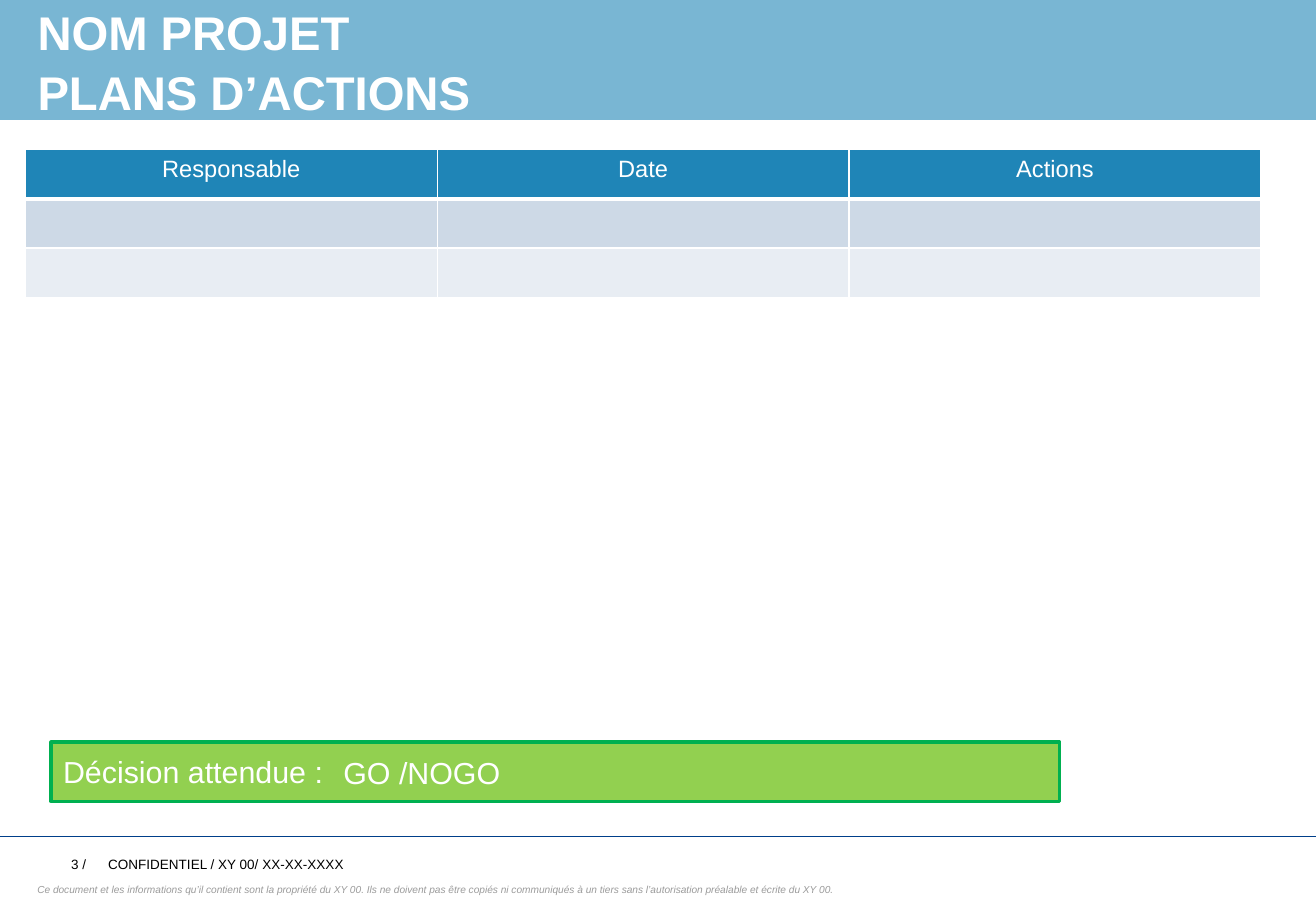
from lxml.etree import SubElement
from pptx import Presentation
from pptx.dml.color import RGBColor
from pptx.enum.shapes import MSO_CONNECTOR, MSO_SHAPE
from pptx.enum.text import MSO_ANCHOR as ANCHOR, MSO_AUTO_SIZE as AUTO, PP_ALIGN as ALIGN
from pptx.oxml.ns import qn
from pptx.util import Cm, Pt

WHITE = RGBColor(0xFF, 0xFF, 0xFF)
BLACK = RGBColor(0, 0, 0)
GREY = RGBColor(0x9B, 0x9B, 0x9B)
SKY = RGBColor(0x79, 0xB6, 0xD3)
NAVY = RGBColor(0x00, 0x3F, 0x8A)
HEADER = RGBColor(0x1F, 0x85, 0xB7)
BAND_DARK = RGBColor(0xCD, 0xD9, 0xE6)
BAND_LIGHT = RGBColor(0xE8, 0xED, 0xF3)
GREEN = RGBColor(0x92, 0xD0, 0x50)
DARK_GREEN = RGBColor(0x00, 0xB0, 0x50)

WIDTH, HEIGHT = Cm(27.51), Cm(19.05)
MARGIN = Cm(0.53)
BANNER_HEIGHT = Cm(2.51)


def write(tf, text, size=18, color=WHITE, bold=False, italic=False,
          align=ALIGN.LEFT, anchor=ANCHOR.MIDDLE, spacing=None):
    """Put formatted text into a text frame."""
    tf.word_wrap = True
    tf.vertical_anchor = anchor
    p = tf.paragraphs[0]
    p.text = text
    p.alignment = align
    p.line_spacing = spacing
    for r in p.runs:
        r.font.name = "Arial"
        r.font.size = Pt(size)
        r.font.color.rgb = color
        r.font.bold = bold
        r.font.italic = italic


def fill(target, color):
    """Give a shape or cell a solid fill."""
    target.fill.solid()
    target.fill.fore_color.rgb = color


def add_box(s, left, top, width, height, color, line=None):
    """Add a flat rectangle, outlined when a line colour is given."""
    sp = s.shapes.add_shape(MSO_SHAPE.RECTANGLE, left, top, width, height)
    sp.shadow.inherit = False
    fill(sp, color)
    if line is None:
        sp.line.fill.background()
    else:
        sp.line.color.rgb = line
        sp.line.width = Pt(2)
    return sp


def add_text(s, left, top, width, height, text, **style):
    """Add a text box."""
    sp = s.shapes.add_textbox(left, top, width, height)
    write(sp.text_frame, text, **style)


def add_rule(s, top):
    """Add the thin footer line across the slide."""
    line = s.shapes.add_connector(MSO_CONNECTOR.STRAIGHT, 0, top, WIDTH, top)
    line.line.color.rgb = NAVY
    line.line.width = Pt(0.5)
    SubElement(line.element.spPr, qn("a:effectLst"))


def set_title(s, text):
    """Place the title in front of the banner."""
    title = s.shapes.title
    s.shapes.element.append(title.element)
    title.left, title.top = MARGIN, 0
    title.width, title.height = Cm(26.44), BANNER_HEIGHT
    fill(title, SKY)
    title.text_frame.auto_size = AUTO.NONE
    write(title.text_frame, text, size=28, bold=True, spacing=1.05)


def set_borders(cell, bottom):
    """Draw white cell borders with the given bottom width."""
    tc_pr = cell._tc.get_or_add_tcPr()
    sides = {"lnL": 1, "lnR": 1, "lnT": 1, "lnB": bottom}
    for i, (side, width) in enumerate(sides.items()):
        ln = tc_pr.makeelement(qn(f"a:{side}"), {"w": str(Pt(width))})
        solid = SubElement(ln, qn("a:solidFill"))
        SubElement(solid, qn("a:srgbClr"), val=str(WHITE))
        tc_pr.insert(i, ln)


def add_action_table(s, headers, row_colors):
    """Add the action table: a header row and empty banded rows."""
    col_width, row_height = Cm(8.61), Cm(1.03)
    rows, cols = len(row_colors), len(headers)
    table = s.shapes.add_table(rows, cols, MARGIN, Cm(3.13),
                               col_width * cols, row_height * rows).table
    for col in table.columns:
        col.width = col_width
    for i, color in enumerate(row_colors):
        table.rows[i].height = row_height
        for j, header in enumerate(headers):
            cell = table.cell(i, j)
            fill(cell, color)
            set_borders(cell, 3 if i == 0 else 1)
            if i == 0:
                write(cell.text_frame, header, size=14, align=ALIGN.CENTER,
                      anchor=ANCHOR.TOP)


def add_footer(s):
    """Add the page number, confidentiality mark and legal notice."""
    add_rule(s, Cm(17.5))
    add_text(s, MARGIN, Cm(17.78), Cm(1.52), Cm(0.6), "3 /",
             size=8, color=BLACK, align=ALIGN.RIGHT)
    add_text(s, Cm(2.01), Cm(17.78), Cm(17.4), Cm(0.6),
             "CONFIDENTIEL / XY 00/ XX-XX-XXXX", size=8, color=BLACK)
    add_text(s, MARGIN, Cm(18.34), Cm(18.85), Cm(0.5),
             "Ce document et les informations qu’il contient sont la propriété "
             "du XY 00. Ils ne doivent pas être copiés ni communiqués à un tiers "
             "sans l’autorisation préalable et écrite du XY 00.",
             size=6, color=GREY, italic=True)


def main():
    """Build and save the action plan slide."""
    prs = Presentation()
    prs.slide_width, prs.slide_height = WIDTH, HEIGHT
    s = prs.slides.add_slide(prs.slide_layouts[5])
    add_box(s, 0, 0, WIDTH, BANNER_HEIGHT, SKY)
    set_title(s, "NOM PROJET\vPLANS D’ACTIONS")
    add_action_table(s, ["Responsable", "Date", "Actions"],
                     [HEADER, BAND_DARK, BAND_LIGHT])
    decision = add_box(s, Cm(1.07), Cm(15.52), Cm(21.08), Cm(1.24), GREEN, DARK_GREEN)
    write(decision.text_frame, "Décision attendue :")
    add_text(s, Cm(6.93), Cm(15.65), Cm(4.22), Cm(1.02), "GO /NOGO")
    add_footer(s)
    prs.save("out.pptx")


main()
